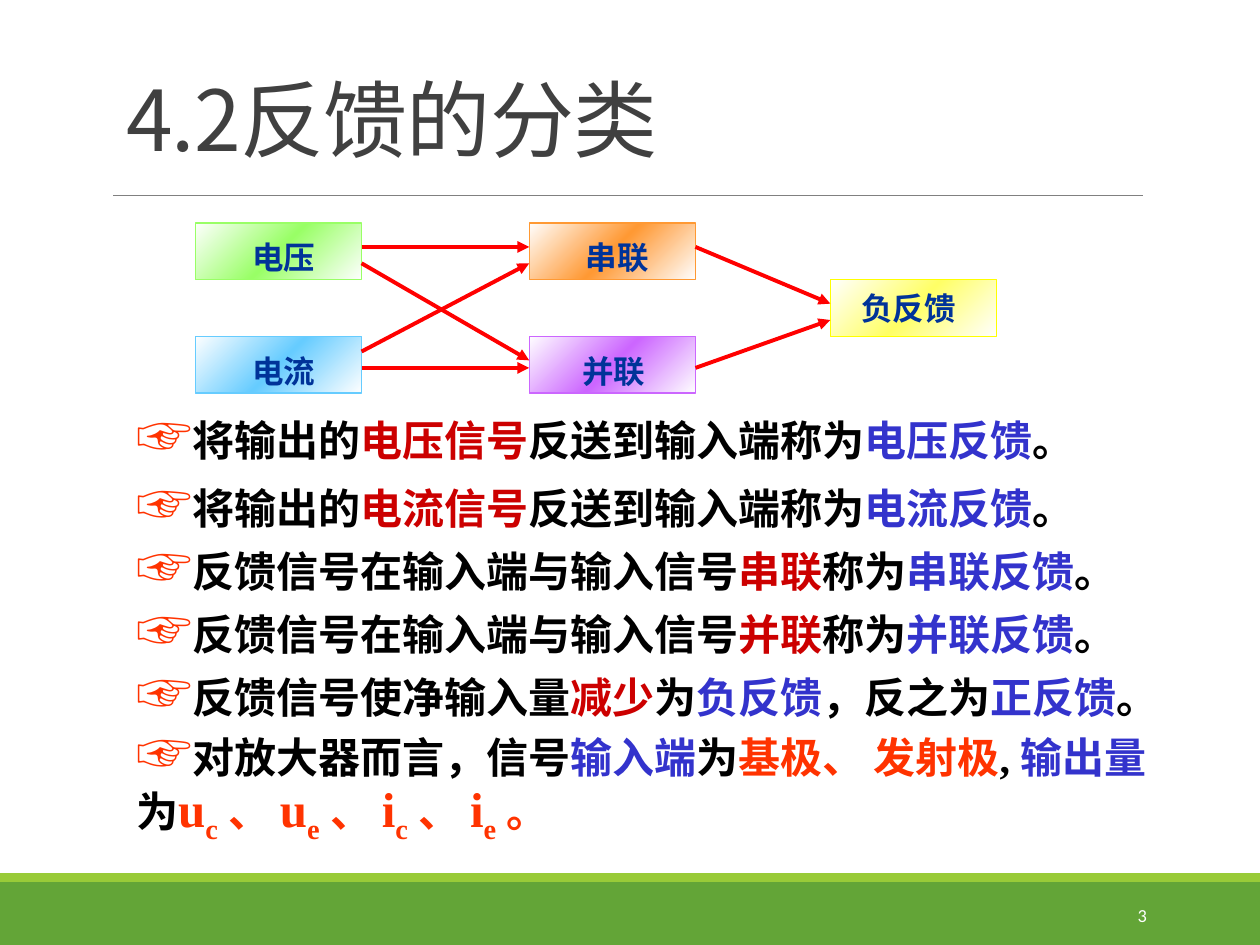
import copy
import pptx
import pptx.util
import pptx.dml.color
import pptx.enum.shapes
import pptx.enum.text
import pptx.oxml
import pptx.oxml.ns
import pptx.oxml.xmlchemy

Pt = pptx.util.Pt
qn = pptx.oxml.ns.qn
make = pptx.oxml.xmlchemy.OxmlElement
Align = pptx.enum.text.PP_ALIGN
Anchor = pptx.enum.text.MSO_ANCHOR

INK = {
    "white": "FFFFFF", "black": "000000", "gray": "404040", "rule": "808080",
    "green": "63A537", "lime": "99CB38", "navy": "003399", "arrow": "FF0000",
    "red": "CC0000", "blue": "3333CC", "hot": "FF3300",
    "leaf": "99FF66", "sky": "66CCFF", "plum": "CC66FF", "peach": "FF9933",
    "lemon": "FFFF66", "yellow": "FFFF00",
}
SERIF, SANS, LATIN = "Times New Roman", "Noto Sans CJK SC", "Calibri"
CELL = 0.1  # inches per grid column and row


def size(cells):
    """Turn grid cells into a length."""
    return pptx.util.Inches(cells * CELL)


def tint(name):
    """Look up a colour by its name."""
    return pptx.dml.color.RGBColor.from_string(INK[name])


def write(par, words, ink="black", pts=24, font=SERIF, asian=SANS,
          bold=True, drop=0, track=0):
    """Add a run of text with its format."""
    run = par.add_run()
    run.text = words
    run.font.size, run.font.bold, run.font.name = Pt(pts), bold, font
    run.font.color.rgb = tint(ink)
    props = run.font._element
    face = make("a:ea")
    face.set("typeface", asian)
    props.find(qn("a:latin")).addnext(face)
    if drop:
        props.set("baseline", str(-drop * 1000))
    if track:
        props.set("spc", str(int(track * 100)))


class Page:
    """Holds the style and the current slide."""

    def __init__(self, deck):
        """Start a slide with title and body."""
        self.slide = deck.slides.add_slide(deck.slide_layouts[1])
        self.shapes = self.slide.shapes

    def place(self, shape, left, top, wide, high):
        """Move a shape to its grid cells."""
        shape.left, shape.top = size(left), size(top)
        shape.width, shape.height = size(wide), size(high)

    def block(self, left, top, wide, high, ink):
        """Draw a plain filled rectangle."""
        shape = self.shapes.add_shape(
            pptx.enum.shapes.MSO_SHAPE.RECTANGLE,
            size(left), size(top), size(wide), size(high))
        shape.shadow.inherit = False
        shape.fill.solid()
        shape.fill.fore_color.rgb = tint(ink)
        shape.line.fill.background()
        return shape

    def node(self, words, left, top, ink, edge, across, down):
        """Draw a labelled box with a sheen; the label is nudged."""
        shape = self.block(left, top, 13.2, 4.5, ink)
        shape.line.color.rgb, shape.line.width = tint(edge), Pt(0.75)
        shape.fill.gradient()
        shape.fill.gradient_angle = 315
        stops = shape._element.spPr.find(".//" + qn("a:gsLst"))
        stops.append(copy.deepcopy(stops[-1]))
        sheen = zip(shape.fill.gradient_stops, (0, 0.5, 1), ("white", ink, "white"))
        for stop, spot, name in sheen:
            stop.position, stop.color.rgb = spot, tint(name)
        frame = shape.text_frame
        frame.word_wrap, frame.vertical_anchor = True, Anchor.MIDDLE
        frame.margin_left, frame.margin_right = size(1 + across), size(1 - across)
        frame.margin_top, frame.margin_bottom = size(0.5 + down), size(0.5 - down)
        par = frame.paragraphs[0]
        par.alignment = Align.CENTER
        write(par, words, "navy", 18)
        return shape

    def line(self, x1, y1, x2, y2, ink, pts):
        """Draw a straight line between two points."""
        line = self.shapes.add_connector(
            pptx.enum.shapes.MSO_CONNECTOR.STRAIGHT, x1, y1, x2, y2)
        line.line.color.rgb, line.line.width = tint(ink), Pt(pts)
        line._element.spPr.append(make("a:effectLst"))
        return line

    def arrow(self, start, out, goal, into):
        """Link the right side of one box to the left side of another."""
        line = self.line(start.left + start.width, start.top + size(out),
                         goal.left, goal.top + size(into), "arrow", 2.25)
        head = make("a:tailEnd")
        head.set("type", "triangle")
        line._element.spPr.find(qn("a:ln")).append(head)

    def title(self, words):
        """Fill the title placeholder."""
        shape = self.shapes.title
        self.place(shape, 9, 3.1, 82.5, 10.8)
        frame = shape.text_frame
        frame.vertical_anchor = Anchor.BOTTOM
        par = frame.paragraphs[0]
        par.alignment, par.line_spacing = Align.LEFT, 0.85
        write(par, words, "gray", 48, SANS, bold=False, track=-0.5)

    def list(self, items):
        """Fill the body placeholder with (lead, pitch, runs) items."""
        shape = self.slide.placeholders[1]
        self.place(shape, 9.8, 31.6, 83.3, 35.8)
        frame = shape.text_frame
        frame.word_wrap = True
        frame.auto_size = pptx.enum.text.MSO_AUTO_SIZE.NONE
        for rank, (lead, pitch, runs) in enumerate(items):
            par = frame.add_paragraph() if rank else frame.paragraphs[0]
            par.space_before, par.space_after = Pt(lead), Pt(0)
            par.line_spacing, par.alignment = Pt(pitch), Align.LEFT
            props = par._p.get_or_add_pPr()
            props.set("marL", "0")
            props.set("indent", "0")
            props.append(make("a:buNone"))
            write(par, "☞", "hot", 32, asian=SERIF)
            for words, form in runs:
                write(par, words, **form)

    def label(self, words, left, top, wide, high):
        """Add a small right-aligned text box."""
        box = self.shapes.add_textbox(size(left), size(top), size(wide), size(high))
        frame = box.text_frame
        frame.word_wrap, frame.vertical_anchor = True, Anchor.MIDDLE
        par = frame.paragraphs[0]
        par.alignment = Align.RIGHT
        write(par, words, "white", 10.5, LATIN, bold=False)


def mix(*parts):
    """Pair plain words with black, and (words, ink) with that ink."""
    return [(part, {}) if isinstance(part, str) else (part[0], {"ink": part[1]})
            for part in parts]


def terms(*names):
    """Set letters with subscripts, parted by list commas."""
    runs = []
    for rank, (base, sub) in enumerate(names, 1):
        mark = " 。" if rank == len(names) else " 、 "
        runs += [(base, {"ink": "hot", "pts": 28}),
                 (sub, {"ink": "hot", "pts": 28, "drop": 25}),
                 (mark, {"ink": "hot"})]
    return runs


deck = pptx.Presentation()
deck.slide_width, deck.slide_height = size(100), size(75)
page = Page(deck)
page.block(0, 70, 100, 5, "green")
page.block(0, 69.3, 100, 0.7, "lime")
page.line(size(9), size(15.5), size(90.7), size(15.5), "rule", 0.5)
page.title("4.2反馈的分类")
page.label("3", 81.2, 70.6, 10.8, 4)

volt = page.node("电压", 15.5, 17.7, "leaf", "leaf", 0.4, 0.45)
amp = page.node("电流", 15.5, 26.7, "sky", "sky", 0.4, 0.45)
series = page.node("串联", 42, 17.7, "peach", "peach", 0.4, 0.45)
shunt = page.node("并联", 42, 26.7, "plum", "plum", 0.1, 0.45)
minus = page.node("负反馈", 65.9, 22.2, "lemon", "yellow", -0.4, 0)
for link in ((volt, 1.9, series, 1.9), (amp, 2.5, shunt, 2.5),
             (amp, 1.2, series, 3.2), (volt, 3.2, shunt, 1.9),
             (series, 1.9, minus, 1.9), (shunt, 2.5, minus, 3.2)):
    page.arrow(*link)

items = [(lead, 36, mix("将输出的", (kind + "信号", "red"), "反送到输入端称为",
                        (kind + "反馈", "blue"), "。"))
         for kind, lead in (("电压", 0), ("电流", 3))]
items += [(0, 36, mix("反馈信号在输入端与输入信号", (kind, "red"), "称为",
                      (kind + "反馈", "blue"), "。"))
          for kind in ("串联", "并联")]
items.append((0, 36, mix("反馈信号使净输入量", ("减少", "red"), "为", ("负反馈", "blue"),
                         "，反之为", ("正反馈", "blue"), "。")))
items.append((0, 34.5, mix("对放大器而言，信号", ("输入端", "blue"), "为",
                           ("基极、 发射极", "hot"), ", ", ("输出量", "blue"), "为")
              + terms("uc", "ue", "ic", "ie")))
page.list(items)
deck.save("out.pptx")
